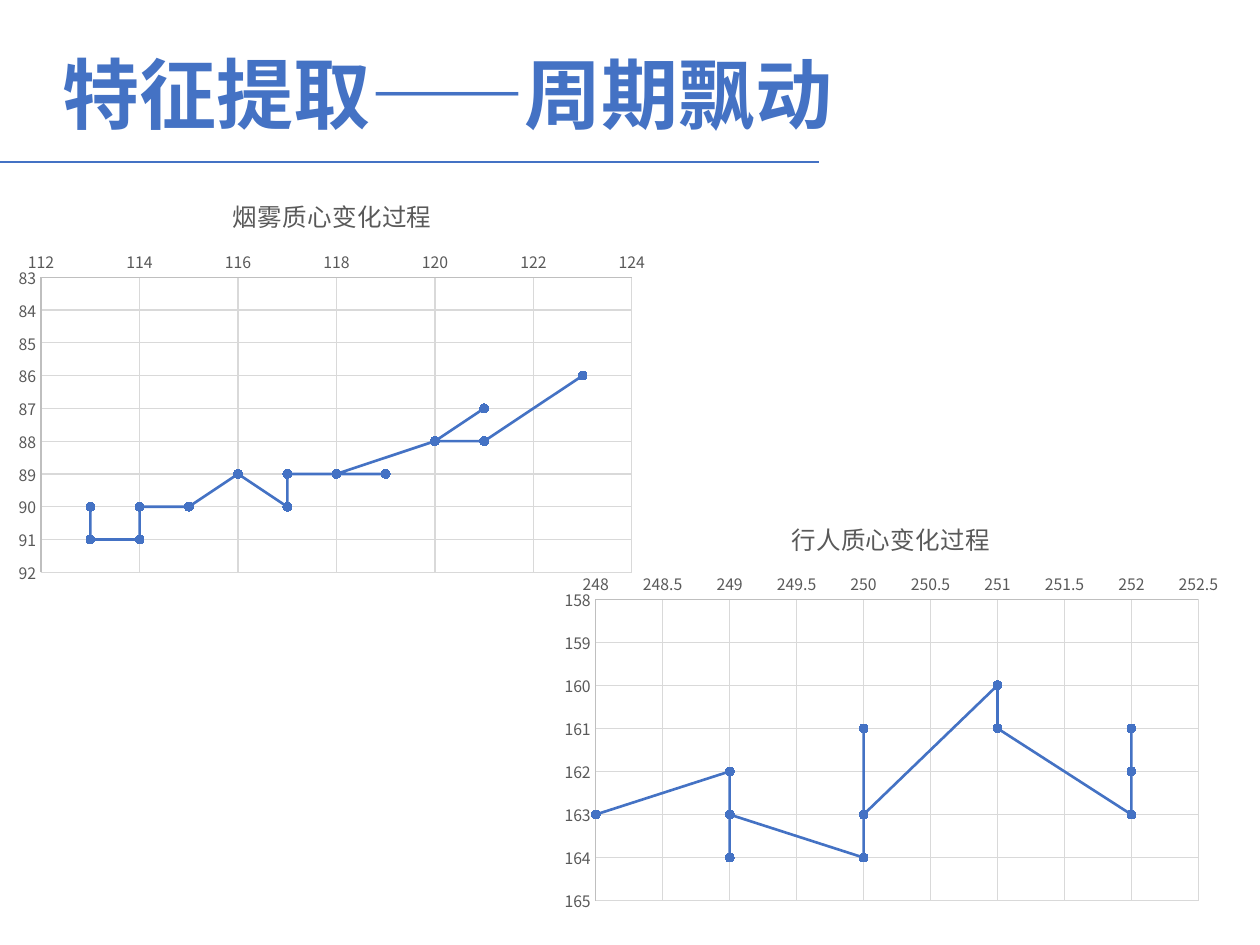
from lxml.etree import SubElement as Sub
from pptx import Presentation
from pptx.chart.data import XyChartData as Data
from pptx.dml.color import RGBColor as Rgb
from pptx.enum.chart import XL_CHART_TYPE as Kind, XL_MARKER_STYLE as Mark
from pptx.enum.chart import XL_TICK_MARK as Tick
from pptx.enum.shapes import MSO_CONNECTOR as Link
from pptx.enum.text import MSO_ANCHOR as Anchor
from pptx.oxml import parse_xml
from pptx.oxml.ns import nsdecls, qn
from pptx.util import Cm, Pt

FONT = "Noto Sans CJK SC"
BLUE, GREY, EDGE, GRID = "4472C4", "595959", "BFBFBF", "D9D9D9"

SMOKE = [
    (113, 90), (113, 91), (114, 91), (114, 91), (114, 91), (114, 91),
    (114, 90), (115, 90), (115, 90), (115, 90), (116, 89), (116, 89),
    (117, 90), (117, 89), (117, 89), (118, 89), (119, 89), (119, 89),
    (118, 89), (120, 88), (120, 88), (121, 87), (120, 88), (120, 88),
    (120, 88), (120, 88), (121, 88), (121, 88), (123, 86), (123, 86),
]
WALKER = [
    (252, 162), (252, 161), (252, 162), (252, 162), (252, 163), (252, 163),
    (251, 161), (251, 161), (251, 160), (251, 160), (250, 163), (250, 163),
    (250, 161), (250, 163), (250, 163), (250, 163), (250, 163), (250, 163),
    (250, 164), (250, 163), (250, 163), (250, 164), (249, 163), (250, 164),
    (249, 163), (249, 164), (249, 162), (249, 162), (248, 163), (248, 163),
]


def tint(code):
    return Rgb.from_string(code)


def write(frame, text, size, color, bold=False):
    run = frame.paragraphs[0].add_run()
    run.text = text
    font = run.font
    font.size, font.bold, font.name = Pt(size), bold, FONT
    font.color.rgb = tint(color)
    Sub(run._r.get_or_add_rPr(), qn("a:ea"), typeface=FONT)


def stroke(line, color, width):
    line.color.rgb = tint(color)
    line.width = Pt(width)


def pin(**sides):
    parts = "".join(f'<c:{k} val="{v}"/>' for k, v in sides.items())
    return parse_xml(f'<c:layout {nsdecls("c")}><c:manualLayout>{parts}'
                     '</c:manualLayout></c:layout>')


def unpin(node):
    for old in node.findall(qn("c:layout")):
        node.remove(old)


def header(slide, left, top, width, height):
    base = Cm(top + 2.45)
    rule = slide.shapes.add_connector(
        Link.STRAIGHT, 0, base, Cm(16.51), base)
    stroke(rule.line, BLUE, 1.25)
    Sub(rule._element.spPr, qn("a:effectLst"))
    box = slide.shapes.add_textbox(Cm(left), Cm(top), Cm(width), Cm(height))
    frame = box.text_frame
    frame.word_wrap = True
    frame.vertical_anchor = Anchor.TOP
    write(frame, "特征提取——周期飘动", 44, BLUE, bold=True)


def scale(axis, low, high, step):
    axis.minimum_scale, axis.maximum_scale = low, high
    axis.major_unit = step
    axis.major_tick_mark = axis.minor_tick_mark = Tick.NONE
    axis.has_major_gridlines = True
    stroke(axis.major_gridlines.format.line, GRID, 0.75)
    stroke(axis.format.line, EDGE, 0.75)
    labels = axis.tick_labels
    labels.number_format, labels.number_format_is_linked = "General", False
    labels.font.size, labels.font.name = Pt(9), FONT
    labels.font.color.rgb = tint(GREY)


def track(slide, left, top, width, height, title, points, across, down,
          spot, plot):
    data = Data()
    series = data.add_series("Series 1")
    for x, y in points:
        series.add_data_point(x, y)
    chart = slide.shapes.add_chart(
        Kind.XY_SCATTER_LINES, Cm(left), Cm(top), Cm(width), Cm(height),
        data).chart
    chart.has_legend = False
    chart.font.size, chart.font.name = Pt(10), FONT
    chart.has_title = True
    head = chart.chart_title
    write(head.text_frame, title, 14, GREY)
    head.include_in_layout = False
    node = head._element
    unpin(node)
    node.find(qn("c:tx")).addnext(
        pin(xMode="edge", yMode="edge",
            x=spot[0] / width, y=spot[1] / height))

    scale(chart.category_axis, *across)
    scale(chart.value_axis, *down)
    chart.value_axis.reverse_order = True
    area = chart._chartSpace.chart.plotArea
    unpin(area)
    x, y, w, h = plot
    area.insert(0, pin(layoutTarget="inner", xMode="edge", yMode="edge",
                       x=x / width, y=y / height,
                       w=w / width, h=h / height))

    chart.plots[0].vary_by_categories = False
    line = chart.plots[0].series[0]
    line.smooth = False
    stroke(line.format.line, BLUE, 1.5)
    dot = line.marker
    dot.style, dot.size = Mark.CIRCLE, 5
    dot.format.fill.solid()
    dot.format.fill.fore_color.rgb = tint(BLUE)
    stroke(dot.format.line, BLUE, 0.75)


def main():
    deck = Presentation()
    deck.slide_width, deck.slide_height = Cm(25.4), Cm(19.05)
    slide = deck.slides.add_slide(deck.slide_layouts[6])
    header(slide, 1.02, 0.81, 20.4, 1.8)
    track(slide, 0.1, 3.56, 13.16, 8.38, "烟雾质心变化过程", SMOKE,
          (112, 124, 2), (83, 92, 1), (4.5, 0.28), (0.73, 2.03, 11.91, 5.95))
    track(slide, 11.1, 10.06, 13.72, 8.51, "行人质心变化过程", WALKER,
          (248, 252.5, 0.5), (158, 165, 1),
          (4.76, 0.28), (0.91, 2.02, 12.15, 6.08))
    deck.save("out.pptx")


if __name__ == "__main__":
    main()
